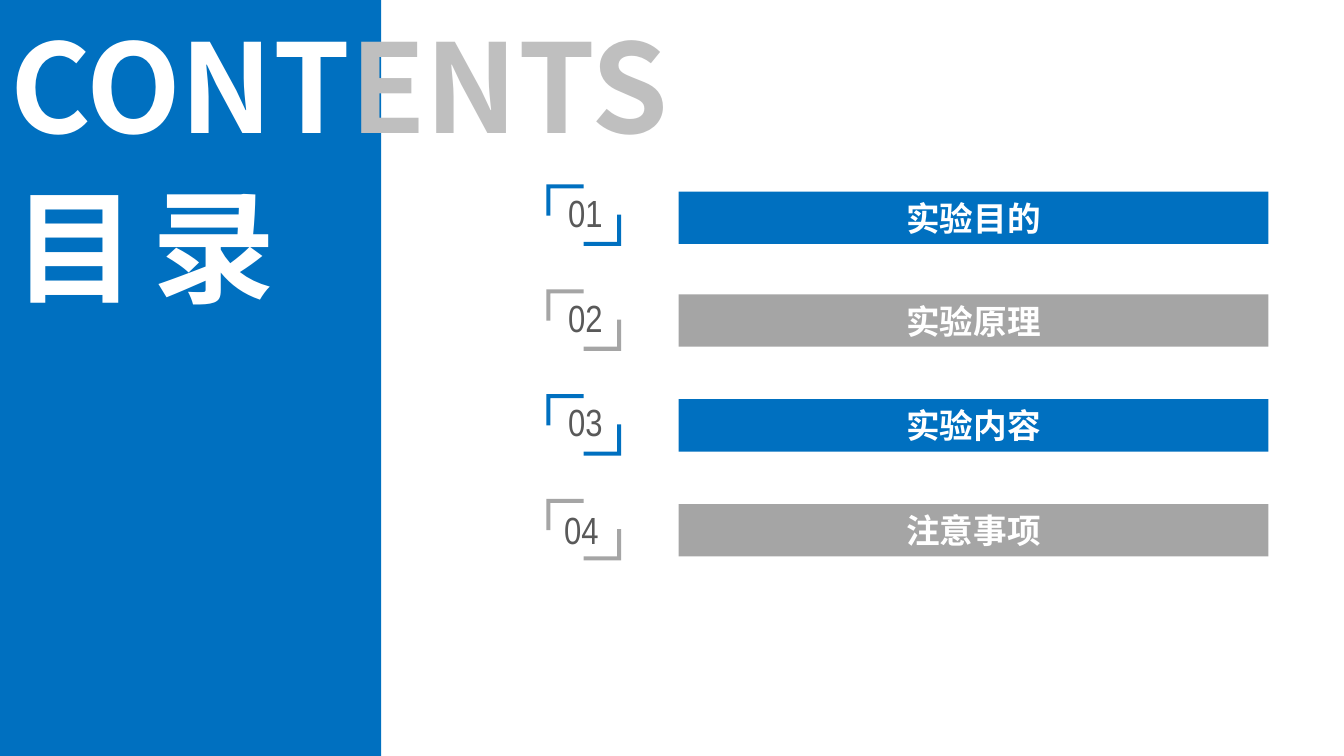
import dataclasses

import pptx
import pptx.dml.color
import pptx.enum.shapes
import pptx.enum.text
import pptx.util
from pptx.util import Inches

BLUE, GREY, SILVER, WHITE, INK = "0070C0", "A5A5A5", "BFBFBF", "FFFFFF", "595959"
CJK = "Noto Sans CJK SC"
LEFT, CENTER = pptx.enum.text.PP_ALIGN.LEFT, pptx.enum.text.PP_ALIGN.CENTER
TOP, MIDDLE = pptx.enum.text.MSO_ANCHOR.TOP, pptx.enum.text.MSO_ANCHOR.MIDDLE
FIT = pptx.enum.text.MSO_AUTO_SIZE.SHAPE_TO_FIT_TEXT
RECTANGLE = pptx.enum.shapes.MSO_SHAPE.RECTANGLE
WIDE_MARGINS = dict(margin_left=Inches(0.13), margin_right=Inches(0.13),
                    margin_top=Inches(0.07), margin_bottom=Inches(0.07))

FIRST_TOP, ROW_STEP = 1.83, 1.04
BRACKET_LEFT, BRACKET_WIDTH, BRACKET_HEIGHT = 5.42, 0.74, 0.61
CORNER = [(0, 0), (0.37, 0), (0.37, 0.04), (0.04, 0.04), (0.04, 0.31), (0, 0.31)]


@dataclasses.dataclass
class Chapter:
    title: str
    color: str
    font: str
    bar_offset: float = 0.05
    number_left: float = 5.44
    number_offset: float = 0
    number_width: float = 0.73
    number_wrap: bool = True


CHAPTERS = [
    Chapter("实验目的", BLUE, "Arial", bar_offset=0.07),
    Chapter("实验原理", GREY, "Arial"),
    Chapter("实验内容", BLUE, CJK),
    Chapter("注意事项", GREY, CJK, number_left=5.47, number_offset=0.03,
            number_width=0.59, number_wrap=False),
]


def rgb(color: str) -> pptx.dml.color.RGBColor:
    return pptx.dml.color.RGBColor.from_string(color)


def set_all(target, values: dict) -> None:
    for key, value in values.items():
        setattr(target, key, value)


def paint(shape, color: str) -> None:
    shape.shadow.inherit = False
    shape.fill.solid()
    shape.fill.fore_color.rgb = rgb(color)
    shape.line.fill.background()


def add_run(paragraph, text: str, size: float, color: str, font: str, bold: bool = True):
    run = paragraph.add_run()
    run.text = text
    set_all(run.font, dict(size=pptx.util.Pt(size), bold=bold, name=font))
    run.font.color.rgb = rgb(color)
    properties = run.font._element
    east_asian = properties.makeelement(pptx.oxml.ns.qn("a:ea"), {"typeface": CJK})
    properties.find(pptx.oxml.ns.qn("a:latin")).addnext(east_asian)
    return run


def add_bar(slide, chapter: Chapter, top: float) -> None:
    bar = slide.shapes.add_shape(RECTANGLE, Inches(6.73), Inches(top), Inches(5.85), Inches(0.52))
    paint(bar, chapter.color)
    set_all(bar.text_frame, dict(WIDE_MARGINS, vertical_anchor=MIDDLE, word_wrap=True))
    label = bar.text_frame.paragraphs[0]
    label.alignment = CENTER
    add_run(label, chapter.title, 24, WHITE, chapter.font)


def add_number(slide, chapter: Chapter, number: int, top: float) -> None:
    badge = slide.shapes.add_group_shape()

    # Two corners, the second turned by half a circle
    upper = [(Inches(BRACKET_LEFT + x), Inches(top + y)) for x, y in CORNER]
    lower = [(Inches(BRACKET_LEFT + BRACKET_WIDTH - x), Inches(top + BRACKET_HEIGHT - y))
             for x, y in CORNER]
    outline = badge.shapes.build_freeform(*upper[0])
    outline.add_line_segments(upper[1:], close=True)
    outline.move_to(*lower[0])
    outline.add_line_segments(lower[1:], close=True)
    paint(outline.convert_to_shape(), chapter.color)

    digits = badge.shapes.add_textbox(Inches(chapter.number_left), Inches(top + chapter.number_offset),
                                      Inches(chapter.number_width), Inches(0.55))
    set_all(digits.text_frame, dict(word_wrap=chapter.number_wrap, auto_size=FIT))
    line = digits.text_frame.paragraphs[0]
    line.alignment = CENTER
    add_run(line, f"{number:02d}", 27, INK, "Arial Narrow", bold=False)


def main() -> None:
    deck = pptx.Presentation()
    set_all(deck, dict(slide_width=Inches(13.33), slide_height=Inches(7.5)))
    slide = deck.slides.add_slide(deck.slide_layouts[5])

    # Blue side panel, behind the title
    heading = slide.shapes.title
    panel = slide.shapes.add_shape(RECTANGLE, 0, 0, Inches(3.78), Inches(7.5))
    paint(panel, BLUE)
    heading.element.addprevious(panel.element)

    # Two-tone title
    set_all(heading, dict(left=Inches(-0.03), top=Inches(0.03), width=Inches(7.2), height=Inches(1.62)))
    set_all(heading.text_frame, dict(WIDE_MARGINS, vertical_anchor=TOP, word_wrap=True, auto_size=FIT))
    contents = heading.text_frame.paragraphs[0]
    contents.alignment = LEFT
    for part, color in (("CONT", WHITE), ("ENTS", SILVER)):
        add_run(contents, part, 88, color, CJK)

    # Chinese heading
    subtitle = slide.shapes.add_textbox(0, Inches(1.62), Inches(3.28), Inches(3.07))
    set_all(subtitle.text_frame, dict(WIDE_MARGINS, word_wrap=True, auto_size=FIT))
    mulu = add_run(subtitle.text_frame.paragraphs[0], "目 录", 88, WHITE, CJK)
    mulu.font._element.set("spc", "-400")

    # Chapter rows
    for index, chapter in enumerate(CHAPTERS):
        top = FIRST_TOP + index * ROW_STEP
        add_bar(slide, chapter, top + chapter.bar_offset)
        add_number(slide, chapter, index + 1, top)

    deck.save("out.pptx")


if __name__ == "__main__":
    main()
